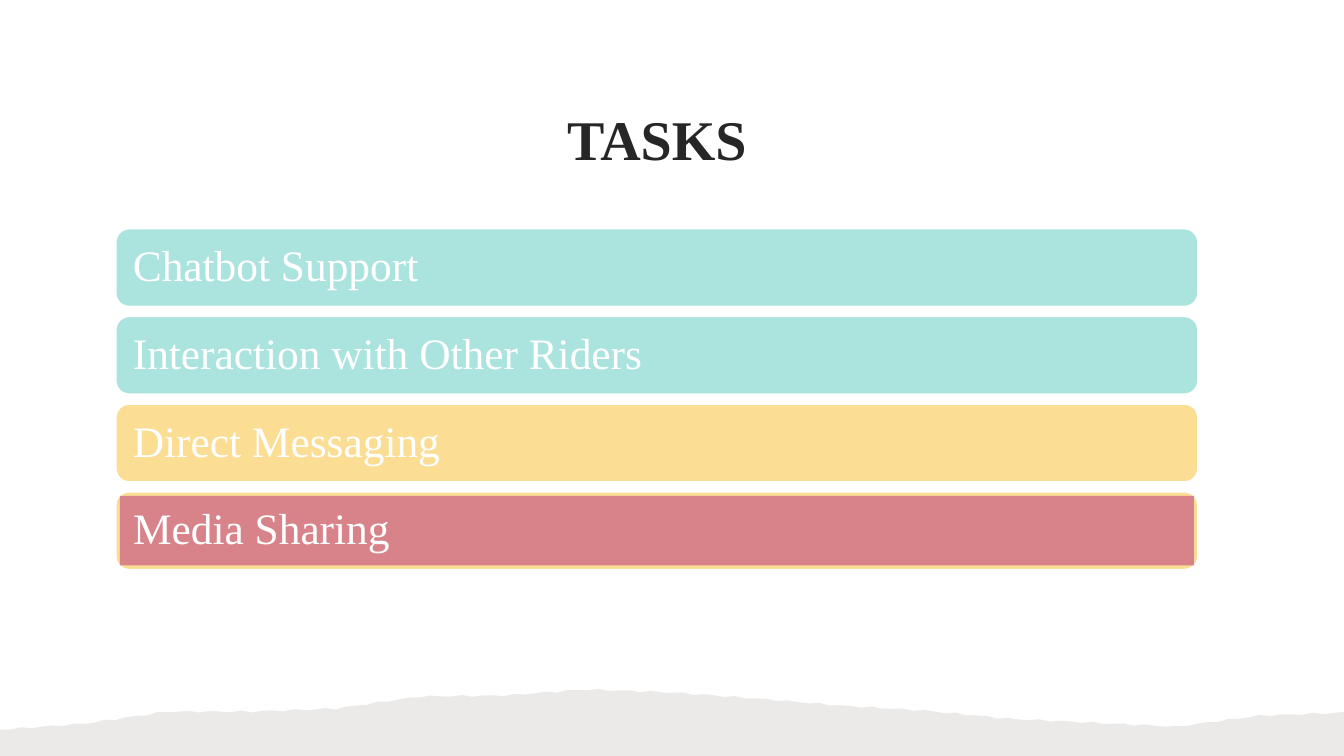
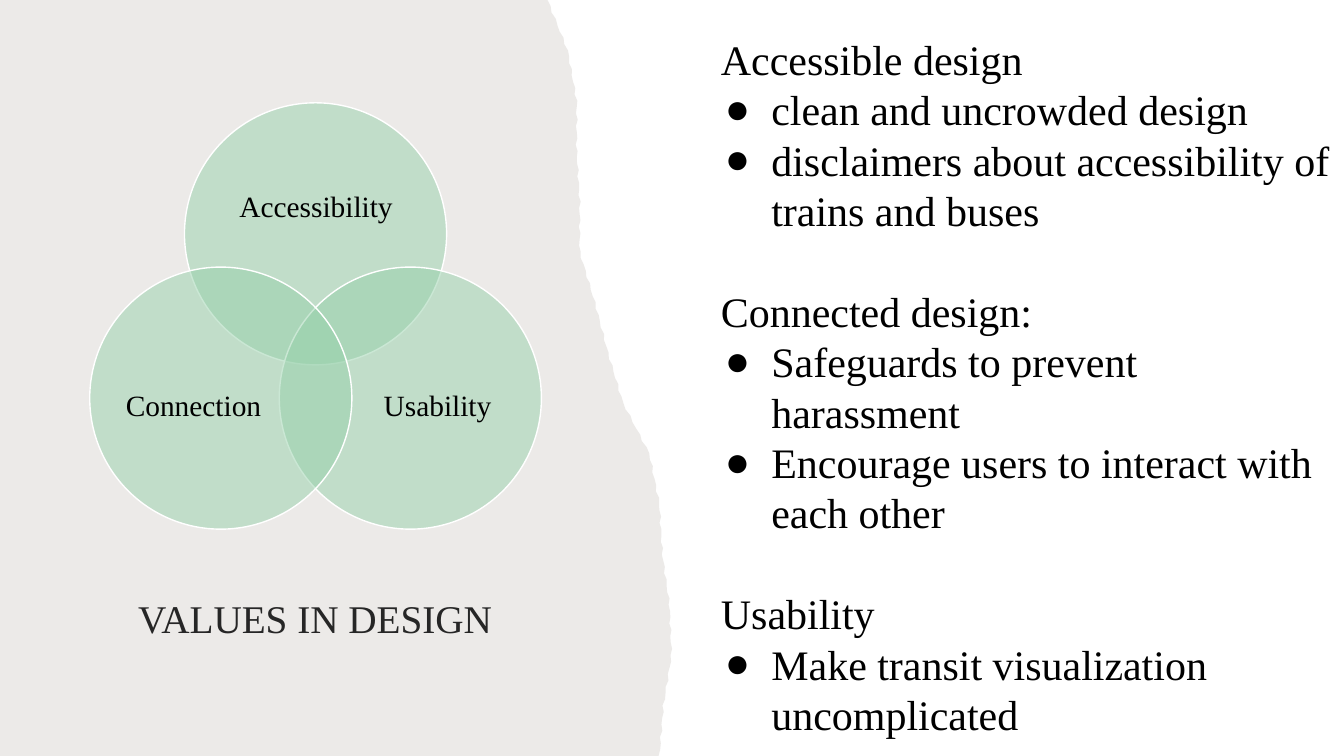
from math import sin
from lxml import etree
from pptx import Presentation, util as u
from pptx.dml.color import RGBColor
from pptx.enum import shapes, text
from pptx.oxml.ns import qn

WIDE, HIGH = 13.33, 7.5
HUES = {"ink": "262626", "black": "000000", "white": "FFFFFF", "paper": "82766A",
        "mint": "ABE3DE", "sand": "FBDD93", "rose": "D8838A", "leaf": "97D1AB"}
FACE = "Times New Roman"
ALIGN, ANCHOR, KIND = text.PP_ALIGN, text.MSO_ANCHOR, shapes.MSO_SHAPE
PADS = (0.1, 0.05, 0.1, 0.05)

TASKS = {
    "title": "TASKS",
    "bars": [("Chatbot Support", "mint"), ("Interaction with Other Riders", "mint"),
             ("Direct Messaging", "sand"), ("Media Sharing", "sand")],
    "hills": [7.24, 7.18, 7.06, 7.06, 7.03, 6.91, 6.9, 6.84, 6.87,
              6.93, 7, 7.05, 7.13, 7.17, 7.21, 7.1, 7.07],
}
VALUES = {
    "title": "VALUES IN DESIGN",
    "rings": [("Accessibility", (1.83, 1.02), (2.18, 1.48, 1.91, 1.17)),
              ("Usability", (2.77, 2.65), (3.56, 3.32, 1.56, 1.43)),
              ("Connection", (0.89, 2.65), (1.14, 3.32, 1.56, 1.43))],
    "notes": [
        ("Accessible design", ["clean and uncrowded design",
                               "disclaimers about accessibility of trains and buses"]),
        ("Connected design:", ["Safeguards to prevent harassment",
                               "Encourage users to interact with each other"]),
        ("Usability", ["Make transit visualization uncomplicated"]),
    ],
    "tear": [5.43, 5.63, 5.72, 5.72, 5.75, 5.75, 5.9, 6.03,
             6.18, 6.44, 6.54, 6.57, 6.64, 6.66, 6.58, 6.54],
}


def put(obj, fmt):
    for key, val in fmt.items():
        setattr(obj, key, val)


def hue(name):
    return RGBColor.from_string(HUES[name])


def place(shape, box):
    put(shape, dict(zip(("left", "top", "width", "height"), map(u.Inches, box))))


def frame(shape, pads, anchor):
    area = shape.text_frame
    sides = ("margin_left", "margin_top", "margin_right", "margin_bottom")
    put(area, dict(zip(sides, map(u.Inches, pads))))
    put(area, {"word_wrap": True, "auto_size": text.MSO_AUTO_SIZE.NONE,
               "vertical_anchor": anchor})
    return area


def write(para, words, size, ink, bold=False, **fmt):
    put(para, fmt)
    run = para.add_run()
    run.text = words
    put(run.font, {"name": FACE, "size": u.Pt(size), "bold": bold})
    run.font.color.rgb = hue(ink)


def paint(shape, fill, alpha=None, line=None):
    shape.shadow.inherit = False
    shape.fill.solid()
    shape.fill.fore_color.rgb = hue(fill)
    if alpha:
        tone = shape.element.spPr.find(".//" + qn("a:srgbClr"))
        etree.SubElement(tone, qn("a:alpha")).set("val", str(alpha * 1000))
    if line:
        shape.line.color.rgb = hue(line)
        shape.line.width = u.Pt(1)
    else:
        shape.line.fill.background()


def draw(slide, kind, box, *look):
    shape = slide.shapes.add_shape(kind, *map(u.Inches, box))
    paint(shape, *look)
    return shape


def ragged(depths, span, parts=8, rough=0.01):
    last = (len(depths) - 1) * parts
    for tick in range(last + 1):
        knot, part = divmod(tick, parts)
        near, far = depths[knot], depths[min(knot + 1, len(depths) - 1)]
        depth = near + (far - near) * part / parts
        yield span * tick / last, depth + rough * sin(2.4 * tick)


def paper(slide, spots):
    first, *rest = [tuple(map(u.Inches, spot)) for spot in spots]
    pen = slide.shapes.build_freeform(*first)
    pen.add_line_segments(rest, close=True)
    sheet = pen.convert_to_shape()
    paint(sheet, "paper", 15)
    sheet.element.getparent().insert(2, sheet.element)


def start(deck, layout, title, box, size, bold, anchor):
    slide = deck.slides.add_slide(deck.slide_layouts[layout])
    head = slide.shapes.title
    place(head, box)
    write(frame(head, PADS, anchor).paragraphs[0], title, size, "ink", bold,
          alignment=ALIGN.CENTER, line_spacing=1.1)
    return slide


def bullet(para, dot):
    props = para._p.get_or_add_pPr()
    props.set("marL", str(u.Inches(0.5 if dot else 0)))
    props.set("indent", str(u.Inches(-0.46 if dot else 0)))
    if dot:
        tint = etree.SubElement(props, qn("a:buClr"))
        etree.SubElement(tint, qn("a:srgbClr")).set("val", HUES["black"])
        etree.SubElement(props, qn("a:buChar")).set("char", "●")
    else:
        etree.SubElement(props, qn("a:buNone"))


def stack(slide, bars):
    left, top, wide, high = 1.15, 2.27, 10.73, 0.77
    gap, inset, pad = 0.1, 0.04, 0.13
    for row, (words, fill) in enumerate(bars):
        y = top + row * (high + gap)
        bar = draw(slide, KIND.ROUNDED_RECTANGLE, (left, y, wide, high),
                   fill, None, "white")
        bar.adjustments[0] = 0.17
        if row == len(bars) - 1:
            inner = (left + inset, y + inset, wide - 2 * inset, high - 2 * inset)
            bar = draw(slide, KIND.RECTANGLE, inner, "rose")
        write(frame(bar, [pad] * 4, ANCHOR.MIDDLE).paragraphs[0], words, 31, "white",
              alignment=ALIGN.LEFT, line_spacing=0.9)


def venn(slide, rings):
    size = 2.6
    for words, spot, box in rings:
        draw(slide, KIND.OVAL, (*spot, size, size), "leaf", 50, "white")
        label = slide.shapes.add_textbox(*map(u.Inches, box))
        write(frame(label, [0] * 4, ANCHOR.MIDDLE).paragraphs[0], words, 21, "black",
              alignment=ALIGN.CENTER, line_spacing=0.9)


def outline(body, notes):
    pitch = 36
    area = frame(body, PADS, ANCHOR.TOP)
    lines = [(words, rank > 0) for head, items in notes
             for rank, words in enumerate([head, *items])]
    for row, (words, dot) in enumerate(lines):
        para = area.add_paragraph() if row else area.paragraphs[0]
        gap = pitch if row and not dot else 0
        write(para, words, 30, "black", alignment=ALIGN.LEFT, line_spacing=u.Pt(pitch),
              space_before=u.Pt(gap), space_after=u.Pt(0))
        bullet(para, dot)


def tasks(deck):
    slide = start(deck, 5, TASKS["title"], (1.15, 0.67, 10.73, 1.33), 40, True,
                  ANCHOR.MIDDLE)
    ridge = ragged(TASKS["hills"], WIDE)
    paper(slide, [(0, HIGH), *ridge, (WIDE, HIGH)])
    stack(slide, TASKS["bars"])


def values(deck):
    slide = start(deck, 1, VALUES["title"], (0.41, 3.97, 5.43, 2.44), 28, False,
                  ANCHOR.BOTTOM)
    side = [(x, y) for y, x in ragged(VALUES["tear"], HIGH)]
    paper(slide, [(0, 0), *side, (0, HIGH)])
    venn(slide, VALUES["rings"])
    body = slide.placeholders[1]
    place(body, (7.05, 0.28, 6.28, 7.2))
    outline(body, VALUES["notes"])


def main():
    deck = Presentation()
    put(deck, {"slide_width": u.Inches(WIDE), "slide_height": u.Inches(HIGH)})
    tasks(deck)
    values(deck)
    deck.save("out.pptx")


if __name__ == "__main__":
    main()
